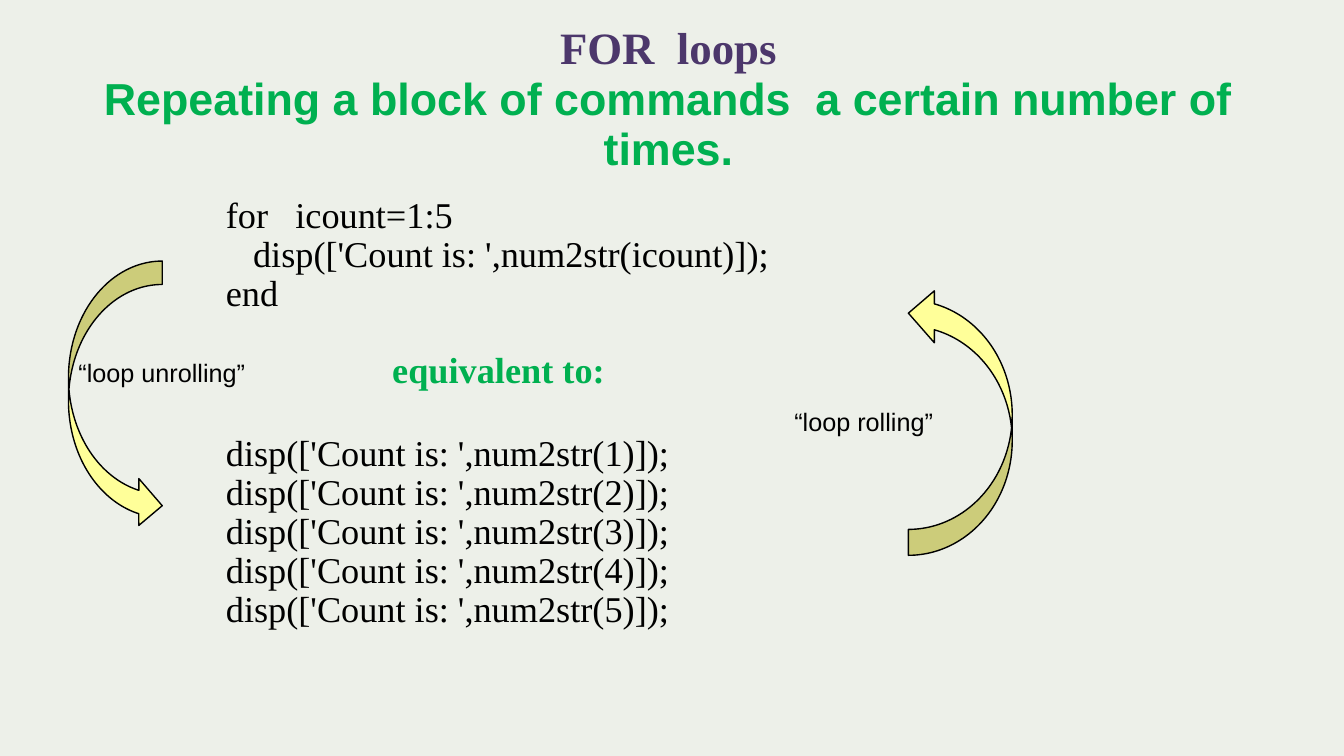
from pptx import Presentation, util as u
from pptx.dml.color import RGBColor
from pptx.enum import shapes, text
from pptx.oxml.ns import qn
from lxml import etree

SERIF, SANS = "Times New Roman", "Arial"
BLACK, GREEN, PURPLE = "000000", "00B050", "4C376B"
YELLOW, PAPER = "FFFF99", "EDF0E9"


def color(target, value):
    """Give a fill or font colour format its hex colour."""
    target.rgb = RGBColor.from_string(value)


def set_font(font, name, size, value, bold=False):
    """Set typeface, size, colour and weight."""
    font.name, font.size, font.bold = name, u.Pt(size), bold
    color(font.color, value)


def place(sp, box):
    """Move a shape to a box of left, top, width and height in inches."""
    sp.left, sp.top, sp.width, sp.height = map(u.Inches, box)


def prepare(sp, box, top_inset):
    """Place a placeholder with top-anchored text and return its frame."""
    place(sp, box)
    tf = sp.text_frame
    tf.auto_size, tf.word_wrap = text.MSO_AUTO_SIZE.NONE, True
    tf.vertical_anchor = text.MSO_ANCHOR.TOP
    tf.margin_top = u.Inches(top_inset)
    return tf


def add_title(s, box):
    """Write the topic and its definition in the title placeholder."""
    p = prepare(s.shapes.title, box, 0.24).paragraphs[0]
    p.alignment, p.line_spacing = text.PP_ALIGN.CENTER, 0.94
    topic = p.add_run()
    topic.text = "FOR  loops"
    set_font(topic.font, SERIF, 32, PURPLE, True)
    p.add_line_break()
    meaning = p.add_run()
    meaning.text = "Repeating a block of commands  a certain number of times."
    set_font(meaning.font, SANS, 32, GREEN, True)


def add_code(s, box):
    """Write the loop and its unrolled form in the body placeholder."""
    tf = prepare(s.placeholders[1], box, 0.53)
    # text, left indent in inches, space before in points
    lines = [("for   icount=1:5", 1.5, 0),
             ("disp(['Count is: ',num2str(icount)]);", 1.77, 6),
             ("end", 1.5, 6),
             ("equivalent to:", 3.15, 32.8)]
    lines += [(f"disp(['Count is: ',num2str({n})]);", 1.5, 37.8 if n == 1 else 6)
              for n in range(1, 6)]
    for i, (line, indent, before) in enumerate(lines):
        p = tf.paragraphs[0] if i == 0 else tf.add_paragraph()
        p.text = line
        p.line_spacing, p.space_before = 0.7, u.Pt(before)
        heading = line.startswith("equivalent")
        set_font(p.font, SERIF, 25.9, GREEN if heading else BLACK, heading)
        pPr = p._p.get_or_add_pPr()
        pPr.set("marL", str(u.Inches(indent)))
        pPr.set("indent", "0")
        bullet = etree.Element(qn("a:buNone"))
        pPr.insert_element_before(bullet, "a:tabLst", "a:defRPr", "a:extLst")


def add_arrow(s, box, flip):
    """Draw a curved arrow mirrored by the attribute flipH or flipV."""
    sp = s.shapes.add_shape(shapes.MSO_SHAPE.CURVED_LEFT_ARROW,
                            *map(u.Inches, box))
    sp.shadow.inherit = False
    sp.fill.solid()
    color(sp.fill.fore_color, YELLOW)
    color(sp.line.color, BLACK)
    sp.line.width = u.Pt(1)
    sp._element.spPr.xfrm.set(flip, "1")


def add_label(s, box, words):
    """Write an arrow's name on one line."""
    tf = s.shapes.add_textbox(*map(u.Inches, box)).text_frame
    tf.word_wrap = False
    p = tf.paragraphs[0]
    p.text = words
    set_font(p.font, SANS, 18, BLACK)


def build():
    """Build and save the slide."""
    prs = Presentation()
    prs.slide_width, prs.slide_height = u.Inches(13.33), u.Inches(7.5)
    s = prs.slides.add_slide(prs.slide_layouts[1])
    s.background.fill.solid()
    color(s.background.fill.fore_color, PAPER)
    add_title(s, (0.88, 0, 11.5, 2.42))
    add_code(s, (0.64, 1.5, 11.5, 5.36))
    add_arrow(s, (9.01, 2.85, 1.03, 2.66), "flipV")
    add_label(s, (7.78, 3.98, 1.59, 0.4), "“loop rolling”")
    add_arrow(s, (0.68, 2.59, 0.93, 2.66), "flipH")
    add_label(s, (0.68, 3.5, 1.87, 0.4), "“loop unrolling”")
    prs.save("out.pptx")


build()
